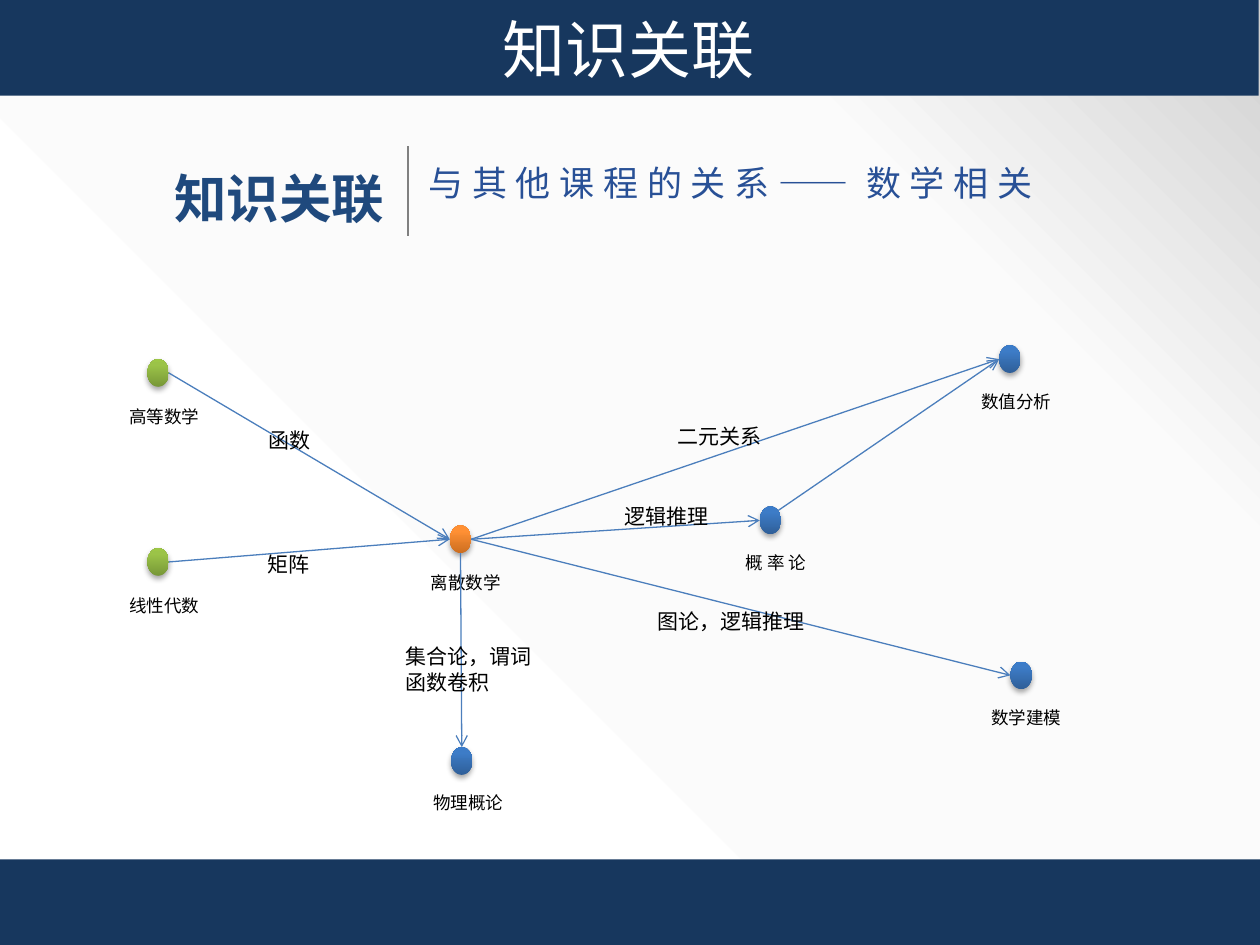
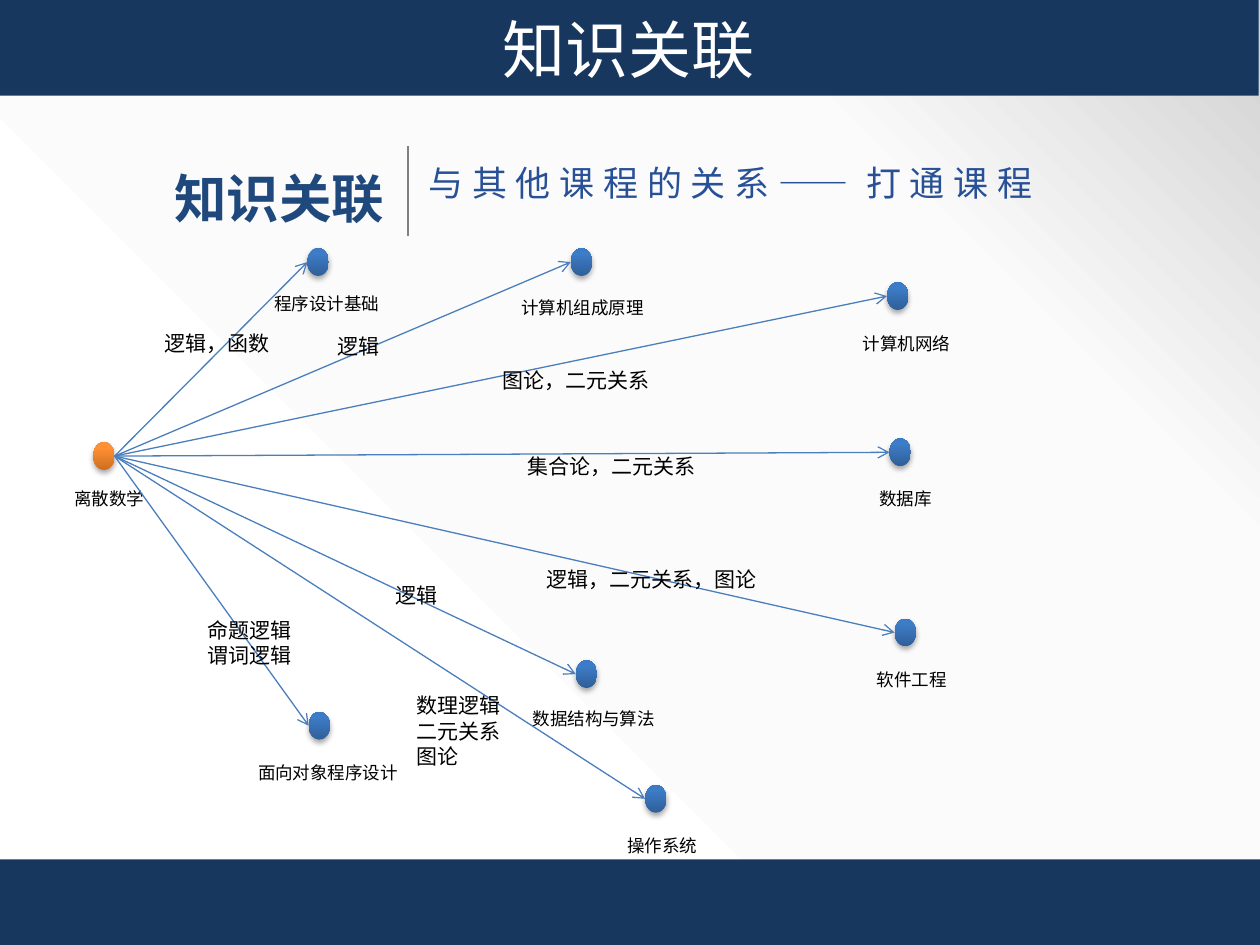
from copy import deepcopy
from dataclasses import dataclass

from lxml import etree
from pptx import Presentation
from pptx.dml.color import RGBColor
from pptx.enum import shapes, text
from pptx.oxml.ns import qn
from pptx.util import Inches, Pt

# Shared colours and fonts
NAVY = RGBColor(0x17, 0x37, 0x5E)
HEADING = RGBColor(0x1F, 0x49, 0x7D)
SUBTITLE = RGBColor(0x28, 0x50, 0x96)
LINK = RGBColor(0x4B, 0x7E, 0xBC)
GRAY = RGBColor(0x80, 0x80, 0x80)
WHITE = RGBColor(0xFF, 0xFF, 0xFF)
BLACK = RGBColor(0, 0, 0)
STOPS = (0, 0.75, 1), (0, 0.8, 1)
BACKDROP = (WHITE, RGBColor(0xFB, 0xFB, 0xFB), RGBColor(0xD0, 0xD0, 0xD0))
ORANGE = (RGBColor(0xCC, 0x6E, 0x20), RGBColor(0xFF, 0x90, 0x34), RGBColor(0xFF, 0x91, 0x36))
GREEN = (RGBColor(0x77, 0x97, 0x37), RGBColor(0x9B, 0xC3, 0x48), RGBColor(0x9D, 0xC7, 0x46))
BLUE = (RGBColor(0x2F, 0x5F, 0x99), RGBColor(0x3D, 0x7C, 0xC7), RGBColor(0x3A, 0x7C, 0xCB))
SANS, BODY = "Noto Sans CJK SC", "Calibri"

TOPIC = "知识关联"
DOT_W, DOT_H = 0.17, 0.22
SMALL_INSETS = (0.08, 0.04)
LABEL_INSETS = (0.1, 0.05)
# Points on a dot, as fractions of its width and height
SIDES = {"left": (0, 0.5), "right": (1, 0.5), "top": (0.5, 0),
         "bottom": (0.5, 1), "corner": (0.85, 0.15)}


@dataclass
class Course:
    name: str
    x: float
    y: float
    label_x: float
    label_y: float
    colors: tuple = BLUE


@dataclass
class Link:
    start: str
    end: str
    leaves: str = "right"
    enters: str = "left"


@dataclass
class Note:
    words: str
    x: float
    y: float


@dataclass
class CourseMap:
    subtitle: str
    courses: list[Course]
    links: list[Link]
    notes: list[Note]


def set_gradient(fill, element, colors, positions, angle) -> None:
    fill.gradient()
    stops = element.find(".//" + qn("a:gsLst"))
    stops.append(deepcopy(stops[-1]))
    for stop, color, position in zip(fill.gradient_stops, colors, positions):
        stop.color.rgb = color
        stop.position = position
    fill.gradient_angle = angle


def write(sp, words: str, size: float, color: RGBColor, font: str = BODY, east: str = BODY,
          insets=SMALL_INSETS, wrap=False, bold=False, spacing=0,
          align=text.PP_ALIGN.LEFT, anchor=text.MSO_ANCHOR.TOP, line_spacing=None) -> None:
    tf = sp.text_frame
    tf.text = words
    side, edge = (Inches(i) for i in insets)
    frame = {"word_wrap": wrap, "vertical_anchor": anchor, "margin_left": side,
             "margin_right": side, "margin_top": edge, "margin_bottom": edge}
    for name, value in frame.items():
        setattr(tf, name, value)
    for p in tf.paragraphs:
        p.alignment = align
        if line_spacing:
            p.line_spacing = line_spacing
        for r in p.runs:
            for name, value in {"size": Pt(size), "bold": bold, "name": font}.items():
                setattr(r.font, name, value)
            r.font.color.rgb = color
            props = r._r.get_or_add_rPr()
            etree.SubElement(props, qn("a:ea")).set("typeface", east)
            if spacing:
                props.set("spc", str(spacing * 100))


def add_text(parent, x: float, y: float, w: float, h: float, words: str, *style, **formats) -> None:
    box = parent.shapes.add_textbox(Inches(x), Inches(y), Inches(w), Inches(h))
    write(box, words, *style, **formats)


def add_label(parent, x: float, y: float, words: str, size: float, insets) -> None:
    """Add a one-size label whose box fits its characters."""
    lines = words.replace("\v", "\n").split("\n")
    em = size / 72
    width = max(len(line) - 0.75 * line.count(" ") for line in lines) * em + 2 * insets[0]
    height = len(lines) * 1.2 * em + 2 * insets[1]
    add_text(parent, x, y, width, height, words, size, BLACK, insets=insets)


def add_band(s, x: float, y: float, h: float):
    sp = s.shapes.add_shape(shapes.MSO_SHAPE.RECTANGLE, Inches(x), Inches(y), Inches(10), Inches(h))
    sp.shadow.inherit = False
    sp.fill.solid()
    sp.fill.fore_color.rgb = NAVY
    sp.line.fill.background()
    return sp


def add_line(s, start, end, color: RGBColor, width: float, arrow=False) -> None:
    points = [Inches(v) for v in (*start, *end)]
    line = s.shapes.add_connector(shapes.MSO_CONNECTOR.STRAIGHT, *points)
    line.line.color.rgb = color
    line.line.width = Pt(width)
    if arrow:
        etree.SubElement(line.line._get_or_add_ln(), qn("a:tailEnd")).set("type", "arrow")
    etree.SubElement(line._element.spPr, qn("a:effectLst"))


def add_course(s, c: Course) -> None:
    group = s.shapes.add_group_shape()
    dot = group.shapes.add_shape(shapes.MSO_SHAPE.OVAL, Inches(c.x), Inches(c.y),
                                 Inches(DOT_W), Inches(DOT_H))
    set_gradient(dot.fill, dot._element, c.colors, STOPS[1], 90)
    dot.line.fill.background()
    # Soft shadow below the dot
    effects = etree.SubElement(dot._element.spPr, qn("a:effectLst"))
    shadow = etree.SubElement(effects, qn("a:outerShdw"), blurRad="40000", dist="23000",
                              dir="5400000", rotWithShape="0")
    black = etree.SubElement(shadow, qn("a:srgbClr"), val="000000")
    etree.SubElement(black, qn("a:alpha"), val="35000")
    add_label(group, c.label_x, c.label_y, c.name, 10, LABEL_INSETS)


def dot_point(c: Course, side: str) -> tuple[float, float]:
    fx, fy = SIDES[side]
    return c.x + fx * DOT_W, c.y + fy * DOT_H


def add_map_slide(prs, course_map: CourseMap) -> None:
    s = prs.slides.add_slide(prs.slide_layouts[6])
    # Background, footer and heading
    set_gradient(s.background.fill, s._element, BACKDROP, STOPS[0], 45)
    add_band(s, 0, 6.82, 0.69)
    add_text(s, 1.15, 1.07, 2.13, 1, TOPIC, 30, HEADING, SANS, SANS, wrap=True, bold=True,
             align=text.PP_ALIGN.CENTER, anchor=text.MSO_ANCHOR.MIDDLE)
    add_text(s, 3.32, 1.28, 5.1, 0.39, course_map.subtitle, 20, SUBTITLE, SANS, SANS,
             wrap=True, spacing=5, line_spacing=0.9)
    add_line(s, (3.24, 1.87), (3.24, 1.16), GRAY, 1)
    # Courses, links and the notes on them
    for course in course_map.courses:
        add_course(s, course)
    by_name = {c.name: c for c in course_map.courses}
    for link in course_map.links:
        add_line(s, dot_point(by_name[link.start], link.leaves),
                 dot_point(by_name[link.end], link.enters), LINK, 0.75, arrow=True)
    for note in course_map.notes:
        add_label(s, note.x, note.y, note.words, 12, SMALL_INSETS)
    # Title band
    write(add_band(s, -0.01, 0, 0.76), TOPIC, 36, WHITE, SANS, wrap=True,
          align=text.PP_ALIGN.CENTER, anchor=text.MSO_ANCHOR.MIDDLE)


CENTER = "离散数学"

MATH_MAP = CourseMap(
    "与其他课程的关系——数学相关",
    [Course(CENTER, 3.57, 4.17, 3.32, 4.49, ORANGE),
     Course("高等数学", 1.17, 2.85, 0.93, 3.17, GREEN),
     Course("线性代数", 1.17, 4.35, 0.93, 4.67, GREEN),
     Course("概 率 论", 6.03, 4.02, 5.82, 4.33),
     Course("数值分析", 7.93, 2.74, 7.69, 3.05),
     Course("数学建模", 8.02, 5.25, 7.77, 5.56),
     Course("物理概论", 3.58, 5.93, 3.34, 6.24)],
    [Link("高等数学", CENTER),
     Link("线性代数", CENTER),
     Link(CENTER, "概 率 论"),
     Link("概 率 论", "数值分析", "corner"),
     Link(CENTER, "数学建模"),
     Link(CENTER, "数值分析"),
     Link(CENTER, "物理概论", "bottom", "top")],
    [Note("函数", 2.05, 3.35),
     Note("矩阵", 2.04, 4.34),
     Note("二元关系", 5.3, 3.32),
     Note("图论，逻辑推理", 5.14, 4.79),
     Note("逻辑推理", 4.88, 3.96),
     Note("集合论，谓词\v函数卷积", 3.14, 5.07)])

COMPUTING_COURSES = [
    Course("程序设计基础", 2.44, 1.97, 2.08, 2.28),
    Course("面向对象程序设计", 2.45, 5.65, 1.95, 6),
    Course("计算机组成原理", 4.53, 1.97, 4.04, 2.31),
    Course("计算机网络", 7.04, 2.24, 6.75, 2.59),
    Course("操作系统", 5.12, 6.23, 4.88, 6.58),
    Course("数据库", 7.06, 3.48, 6.88, 3.82),
    Course("数据结构与算法", 4.57, 5.24, 4.13, 5.57),
    Course("软件工程", 7.1, 4.91, 6.86, 5.26)]

COMPUTING_MAP = CourseMap(
    "与其他课程的关系——打通课程",
    [Course(CENTER, 0.74, 3.51, 0.49, 3.82, ORANGE), *COMPUTING_COURSES],
    [Link(CENTER, course.name) for course in COMPUTING_COURSES],
    [Note("逻辑，函数", 1.23, 2.58),
     Note("逻辑", 2.6, 2.61),
     Note("图论，二元关系", 3.91, 2.88),
     Note("集合论，二元关系", 4.11, 3.56),
     Note("逻辑，二元关系，图论", 4.26, 4.46),
     Note("逻辑", 3.06, 4.58),
     Note("命题逻辑\n谓词逻辑", 1.57, 4.86),
     Note("数理逻辑\n二元关系\n图论", 3.23, 5.46)])


def main() -> None:
    prs = Presentation()
    prs.slide_width, prs.slide_height = Inches(10), Inches(7.5)
    for course_map in (MATH_MAP, COMPUTING_MAP):
        add_map_slide(prs, course_map)
    prs.save("out.pptx")


if __name__ == "__main__":
    main()
